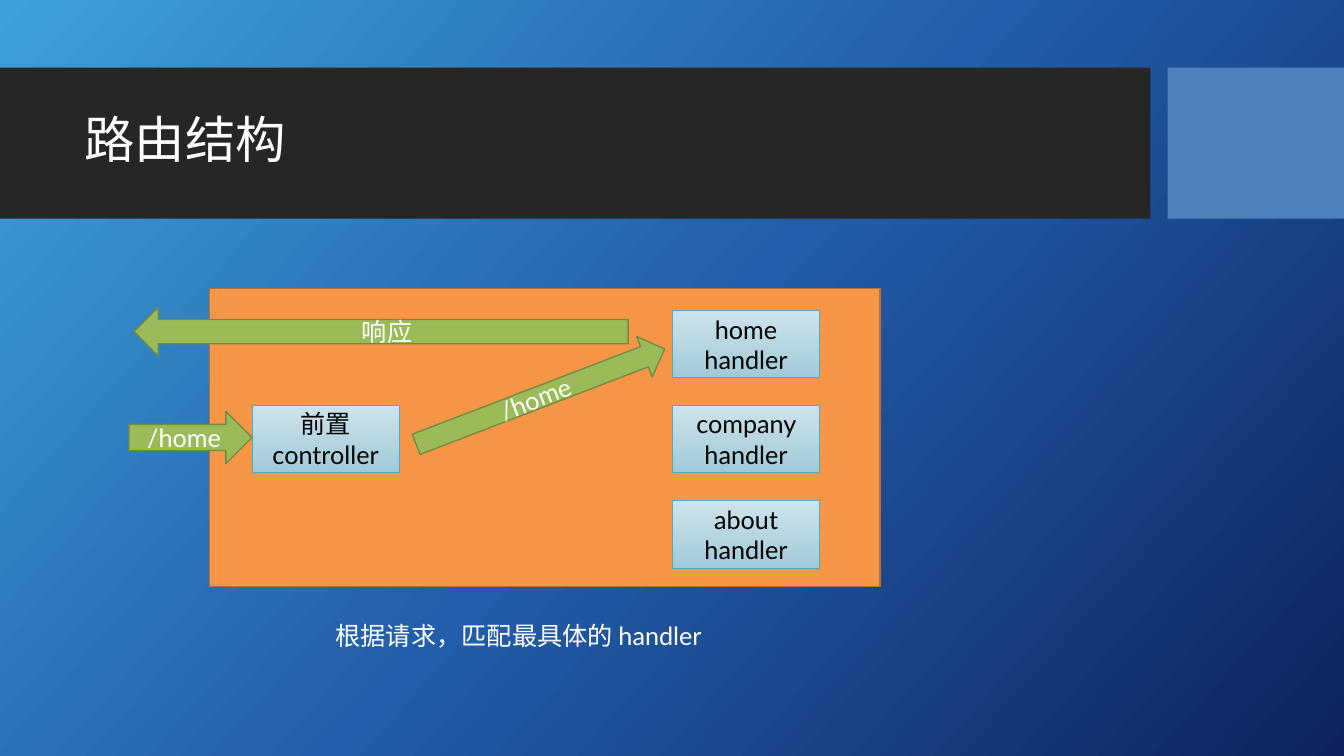
from dataclasses import dataclass
from typing import Any, Optional

import lxml.etree
import pptx
import pptx.dml.color
import pptx.enum.shapes
import pptx.enum.text
import pptx.oxml.ns
import pptx.util

EMU_PER_PX = 9144  # 100 px to the inch
SHAPES = pptx.enum.shapes.MSO_SHAPE
ALIGN = pptx.enum.text.PP_ALIGN
ANCHOR = pptx.enum.text.MSO_ANCHOR

Stops = tuple[tuple[int, str], ...]


@dataclass(frozen=True)
class Theme:
    font: str = "Lato"
    title_size: int = 36
    body_size: int = 18
    light: str = "FFFFFF"
    dark: str = "000000"
    banner: str = "262626"
    accent: str = "4F81BD"
    server: str = "F79646"
    server_line: str = "B76F34"
    arrow: str = "9BBB59"
    arrow_line: str = "738A42"
    node_line: str = "4BACC6"
    node: Stops = ((0, "CEE3EB"), (100, "A0CAD9"))
    backdrop: Stops = ((0, "3FA1D7"), (50, "225EA9"), (100, "0F225F"))


THEME = Theme()


@dataclass(frozen=True)
class Box:
    left: int
    top: int
    width: int
    height: int


@dataclass(frozen=True)
class Arrow:
    text: str
    box: Box
    kind: Any = SHAPES.RIGHT_ARROW
    rotation: int = 0


@dataclass(frozen=True)
class Node:
    text: str
    left: int
    top: int


NODE_WIDTH, NODE_HEIGHT = 146, 67
HANDLER_LEFT, HANDLER_TOP, TWO_HANDLER_STEPS = 667, 308, 189
HANDLERS = ("home handler", "company handler", "about handler")
NODES = [Node("前置 controller", 250, 402)] + [
    Node(name, HANDLER_LEFT, HANDLER_TOP + row * TWO_HANDLER_STEPS // 2)
    for row, name in enumerate(HANDLERS)
]
ARROWS = (
    Arrow("/home", Box(128, 408, 122, 52)),
    Arrow("/home", Box(404, 372, 264, 43), rotation=339),
    Arrow("响应", Box(133, 305, 490, 48), SHAPES.LEFT_ARROW),
)


def px(length: int) -> pptx.util.Emu:
    return pptx.util.Emu(length * EMU_PER_PX)


def place(box: Box) -> tuple[pptx.util.Emu, ...]:
    return px(box.left), px(box.top), px(box.width), px(box.height)


def rgb(value: str) -> pptx.dml.color.RGBColor:
    return pptx.dml.color.RGBColor.from_string(value)


def paint_gradient(fill: Any, element: Any, stops: Stops, clockwise: int) -> None:
    fill.gradient()
    fill.gradient_angle = 360 - clockwise
    qn = pptx.oxml.ns.qn
    stop_list = next(element.iter(qn("a:gsLst")))
    for stop in list(stop_list):
        stop_list.remove(stop)
    for percent, color in stops:
        stop = lxml.etree.SubElement(stop_list, qn("a:gs"), pos=str(percent * 1000))
        lxml.etree.SubElement(stop, qn("a:srgbClr"), val=color)


def write(shape: Any, text: str, color: str, size: int = THEME.body_size,
          align: Any = ALIGN.CENTER, anchor: Any = ANCHOR.MIDDLE,
          wrap: bool = True) -> None:
    frame = shape.text_frame
    frame.text = text
    frame.word_wrap = wrap
    frame.vertical_anchor = anchor
    paragraph = frame.paragraphs[0]
    paragraph.alignment = align
    font = paragraph.runs[0].font
    font.name = THEME.font
    font.size = pptx.util.Pt(size)
    font.color.rgb = rgb(color)


def add_shape(slide: Any, kind: Any, box: Box, fill: Optional[str] = None,
              line: Optional[str] = None, line_width: float = 1) -> Any:
    shape = slide.shapes.add_shape(kind, *place(box))
    shape.shadow.inherit = False
    if fill:
        shape.fill.solid()
        shape.fill.fore_color.rgb = rgb(fill)
    if line:
        shape.line.color.rgb = rgb(line)
        shape.line.width = pptx.util.Pt(line_width)
    else:
        shape.line.fill.background()
    return shape


def add_node(slide: Any, node: Node) -> None:
    box = Box(node.left, node.top, NODE_WIDTH, NODE_HEIGHT)
    shape = add_shape(slide, SHAPES.RECTANGLE, box, line=THEME.node_line, line_width=0.75)
    paint_gradient(shape.fill, shape.element, THEME.node, 90)
    write(shape, node.text, THEME.dark)


def add_arrow(slide: Any, arrow: Arrow) -> None:
    shape = add_shape(slide, arrow.kind, arrow.box, THEME.arrow, THEME.arrow_line)
    shape.rotation = arrow.rotation
    write(shape, arrow.text, THEME.light)


def main() -> None:
    presentation = pptx.Presentation()
    presentation.slide_width = px(1333)
    presentation.slide_height = px(750)
    slide = presentation.slides.add_slide(presentation.slide_layouts[6])
    paint_gradient(slide.background.fill, slide.element, THEME.backdrop, 42)

    # Title banner
    add_shape(slide, SHAPES.RECTANGLE, Box(0, 67, 1141, 150), THEME.banner)
    add_shape(slide, SHAPES.RECTANGLE, Box(1158, 67, 175, 150), THEME.accent)
    title = slide.shapes.add_textbox(*place(Box(74, 82, 1051, 118)))
    write(title, "路由结构", THEME.light, THEME.title_size, ALIGN.LEFT)
    title.text_frame.paragraphs[0].line_spacing = 0.9

    # Server with its controller and handlers
    add_shape(slide, SHAPES.RECTANGLE, Box(208, 286, 665, 296),
              THEME.server, THEME.server_line)
    for node in NODES:
        add_node(slide, node)

    # Request and response flow
    for arrow in ARROWS:
        add_arrow(slide, arrow)

    # Caption
    caption = slide.shapes.add_textbox(*place(Box(323, 610, 391, 40)))
    write(caption, "根据请求，匹配最具体的 handler", THEME.light,
          align=ALIGN.LEFT, anchor=ANCHOR.TOP, wrap=False)
    caption.text_frame.auto_size = pptx.enum.text.MSO_AUTO_SIZE.SHAPE_TO_FIT_TEXT

    presentation.save("out.pptx")


if __name__ == "__main__":
    main()
